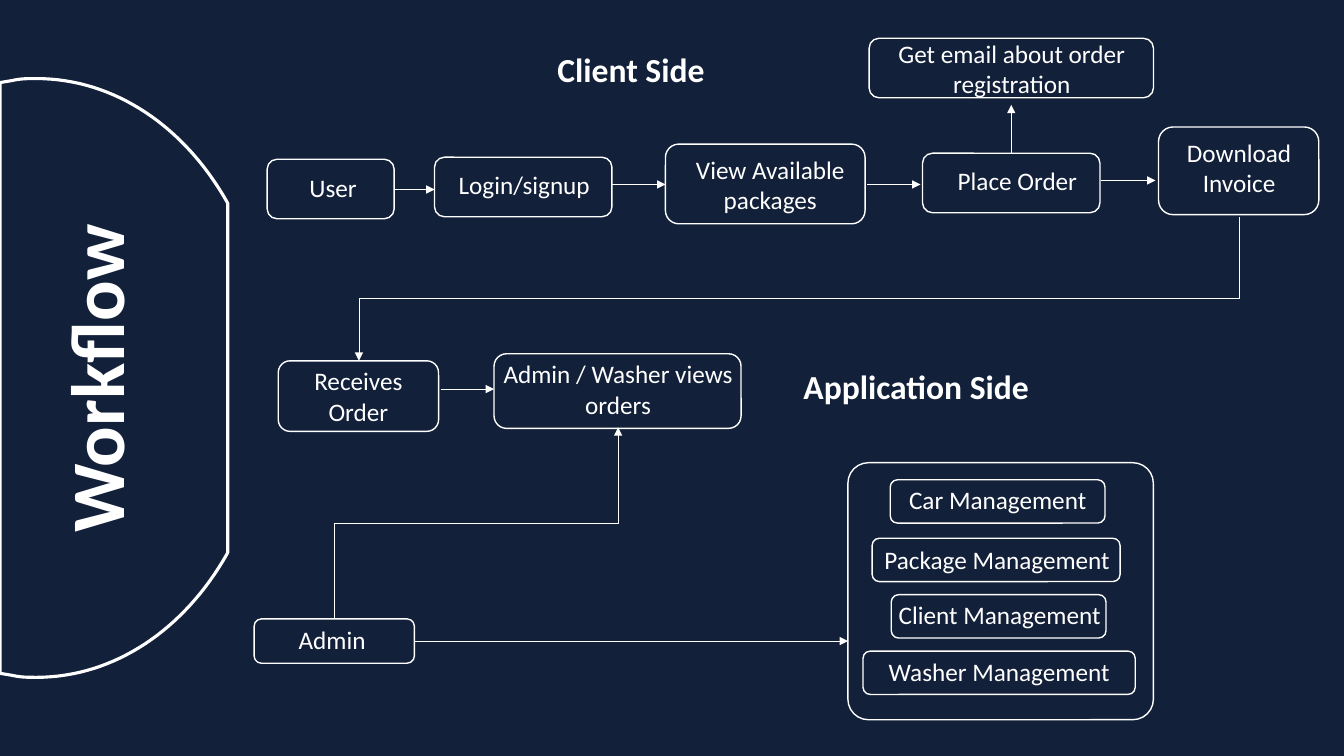
from dataclasses import dataclass

from lxml.etree import SubElement
from pptx import Presentation
from pptx.dml.color import RGBColor
from pptx.enum.shapes import MSO_CONNECTOR, MSO_SHAPE
from pptx.enum.text import MSO_ANCHOR, MSO_AUTO_SIZE, PP_ALIGN
from pptx.oxml.ns import qn
from pptx.shapes.autoshape import Shape
from pptx.shapes.connector import Connector
from pptx.slide import Slide
from pptx.util import Emu, Pt

EMU_PER_PX = 9144  # 100 px to the inch
COLORS = {"navy": "12203A", "white": "FFFFFF"}
FONT = "Calibri"
SLIDE_WIDTH, SLIDE_HEIGHT = 1333, 750

Area = tuple[int, int, int, int]  # left, top, width, height
Point = tuple[float, float]


@dataclass(frozen=True)
class Step:
    text: str
    box: Area
    label: Area
    align: PP_ALIGN = PP_ALIGN.CENTER


@dataclass(frozen=True)
class Link:
    start: Point
    end: Point
    elbow: bool = False
    arrow: bool = True


STEPS = [
    # Client side
    Step("User", (265, 158, 126, 59), (297, 166, 156, 40), PP_ALIGN.LEFT),
    Step("Login/signup", (431, 156, 176, 59), (445, 163, 162, 40), PP_ALIGN.LEFT),
    Step("View Available packages", (660, 143, 198, 79), (664, 148, 200, 71)),
    Step("Place Order", (915, 152, 176, 59), (940, 159, 162, 40), PP_ALIGN.LEFT),
    Step("Get email about order registration", (862, 38, 282, 59), (873, 33, 261, 71)),
    Step("Download Invoice", (1149, 126, 159, 87), (1141, 131, 176, 104)),
    # Application side
    Step("Receives Order", (276, 358, 159, 70), (272, 358, 167, 70)),
    Step("Admin / Washer views orders", (490, 351, 245, 74), (484, 351, 258, 71)),
    Step("Admin", (252, 614, 159, 44), (246, 614, 167, 40)),
    # Management areas
    Step("Car Management", (883, 476, 213, 43), (877, 476, 225, 43)),
    Step("Package Management", (865, 534, 246, 43), (859, 535, 260, 40)),
    Step("Client Management", (884, 590, 213, 43), (879, 590, 225, 40)),
    Step("Washer Management", (856, 646, 270, 43), (849, 646, 284, 40)),
]
MANAGEMENT_FRAME: Area = (841, 459, 303, 255)
HEADINGS: dict[str, Area] = {
    "Client Side": (543, 44, 167, 50),
    "Application Side": (787, 358, 258, 50),
}
LINKS = [
    Link((391, 188), (431, 188)),
    Link((607, 183), (660, 183)),
    Link((860, 183), (913, 183)),
    Link((1092, 179), (1146, 179)),
    Link((1003, 152), (1003, 104)),
    Link((1229, 248), (1229, 215), arrow=False),
    Link((1229, 235), (356, 358), elbow=True),
    Link((437, 386), (490, 386)),
    Link((332, 614), (613, 424), elbow=True),
    Link((411, 636), (841, 636)),
]


def px(length: float) -> Emu:
    return Emu(round(length * EMU_PER_PX))


def color(name: str) -> RGBColor:
    return RGBColor.from_string(COLORS[name])


def write_text(shape: Shape, text: str, *, size: int = 18, bold: bool = False,
               align: PP_ALIGN = PP_ALIGN.LEFT) -> None:
    frame = shape.text_frame
    frame.word_wrap = True
    frame.auto_size = MSO_AUTO_SIZE.NONE
    frame.vertical_anchor = MSO_ANCHOR.TOP
    paragraph = frame.paragraphs[0]
    paragraph.alignment = align
    run = paragraph.add_run()
    run.text = text
    run.font.name, run.font.size, run.font.bold = FONT, Pt(size), bold
    run.font.color.rgb = color("white")


def add_label(slide: Slide, text: str, area: Area, **text_format) -> None:
    write_text(slide.shapes.add_textbox(*map(px, area)), text, **text_format)


def outline(shape: Shape | Connector, width: float) -> None:
    shape.line.color.rgb = color("white")
    shape.line.width = Pt(width)


def add_box(slide: Slide, area: Area) -> Shape:
    box = slide.shapes.add_shape(MSO_SHAPE.ROUNDED_RECTANGLE, *map(px, area))
    box.shadow.inherit = False
    box.fill.background()
    outline(box, 1)
    return box


def add_link(slide: Slide, link: Link) -> None:
    (x1, y1), (x2, y2) = link.start, link.end
    if link.elbow:
        # Turned a quarter so that the elbow leaves and arrives vertically
        middle_x, middle_y = (x1 + x2) / 2, (y1 + y2) / 2
        half_x, half_y = (y2 - y1) / 2, (x1 - x2) / 2
        x1, y1 = middle_x - half_x, middle_y - half_y
        x2, y2 = middle_x + half_x, middle_y + half_y
    kind = MSO_CONNECTOR.ELBOW if link.elbow else MSO_CONNECTOR.STRAIGHT
    connector = slide.shapes.add_connector(kind, px(x1), px(y1), px(x2), px(y2))
    outline(connector, 0.5)
    properties = connector._element.spPr
    if link.elbow:
        properties.find(qn("a:xfrm")).set("rot", str(90 * 60000))
    if link.arrow:
        SubElement(properties.find(qn("a:ln")), qn("a:tailEnd"), type="triangle")
    SubElement(properties, qn("a:effectLst"))


def curve(controls: list[Point], steps: int = 32) -> list[Point]:
    """Points along a cubic Bezier curve."""
    points = []
    for step in range(steps + 1):
        t = step / steps
        weights = ((1 - t) ** 3, 3 * t * (1 - t) ** 2, 3 * t * t * (1 - t), t ** 3)
        points.append(tuple(sum(weight * control[axis]
                                for weight, control in zip(weights, controls))
                            for axis in (0, 1)))
    return points


def add_title_panel(slide: Slide) -> None:
    upper = [(0, 82), *curve([(12, 80), (20, 78), (28, 78), (36, 78)], 8),
             *curve([(36, 78), (114, 78), (183, 126), (225, 200)]), (226, 202)]
    lower = [(x, SLIDE_HEIGHT - y) for x, y in reversed(upper)]
    points = [(px(x), px(y)) for x, y in upper + lower]
    builder = slide.shapes.build_freeform(*points[0])
    builder.add_line_segments(points[1:], close=True)
    panel = builder.convert_to_shape()
    panel.shadow.inherit = False
    panel.fill.solid()
    panel.fill.fore_color.rgb = color("navy")
    outline(panel, 2.25)
    # Behind the title
    slide.shapes.title._element.addprevious(panel._element)


def add_title(slide: Slide, text: str) -> None:
    title = slide.shapes.title
    title.left, title.top, title.width, title.height = map(px, (-175, 325, 538, 101))
    title.rotation = 270
    write_text(title, text, size=54, bold=True, align=PP_ALIGN.CENTER)


def main() -> None:
    presentation = Presentation()
    presentation.slide_width, presentation.slide_height = px(SLIDE_WIDTH), px(SLIDE_HEIGHT)
    slide = presentation.slides.add_slide(presentation.slide_layouts.get_by_name("Title Only"))
    slide.background.fill.solid()
    slide.background.fill.fore_color.rgb = color("navy")

    # Title on the left edge
    add_title_panel(slide)
    add_title(slide, "Workflow")

    # Flowchart
    for step in STEPS:
        add_box(slide, step.box)
        add_label(slide, step.text, step.label, align=step.align)
    add_box(slide, MANAGEMENT_FRAME).adjustments[0] = 0.08
    for link in LINKS:
        add_link(slide, link)

    # Section headings
    for text, area in HEADINGS.items():
        add_label(slide, text, area, size=24, bold=True)

    presentation.save("out.pptx")


if __name__ == "__main__":
    main()
